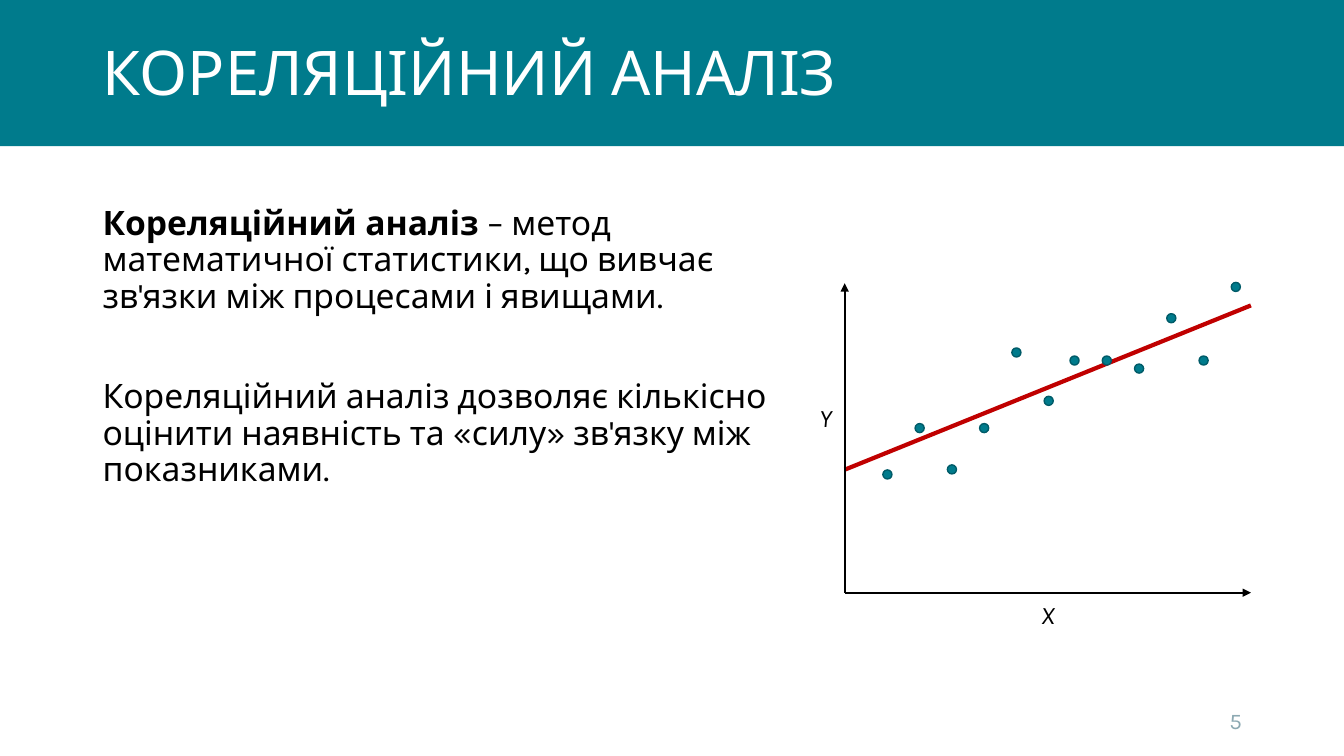
from dataclasses import dataclass

from lxml import etree
from pptx import Presentation
from pptx.dml.color import RGBColor
from pptx.enum.shapes import MSO_CONNECTOR, MSO_SHAPE
from pptx.enum.text import MSO_ANCHOR, MSO_AUTO_SIZE, PP_ALIGN
from pptx.oxml.ns import qn
from pptx.util import Emu, Inches, Pt

STRAIGHT = MSO_CONNECTOR.STRAIGHT
RECTANGLE, OVAL = MSO_SHAPE.RECTANGLE, MSO_SHAPE.OVAL
TOP, MIDDLE = MSO_ANCHOR.TOP, MSO_ANCHOR.MIDDLE
LEFT, CENTER, RIGHT = PP_ALIGN.LEFT, PP_ALIGN.CENTER, PP_ALIGN.RIGHT
NO_AUTOFIT = MSO_AUTO_SIZE.NONE

COLUMNS, ROWS = 40, 22.5
CELL = Inches(13.33) / COLUMNS
FONT = "Karla"
TEAL, DARK_TEAL, RED = "007B8C", "005B68", "C00000"
BLACK, WHITE, GREY = "000000", "FFFFFF", "8CA9B2"

ORIGIN_COLUMN, ORIGIN_ROW = 25.14, 17.64
AXIS_TOP, AXIS_RIGHT = 8.43, 37.23
DOT_SIZE, DOT_STEP = 0.27, 0.96


@dataclass
class Area:
    column: float
    row: float
    columns: float
    rows: float


@dataclass
class Span:
    text: str
    size: float
    color: str = BLACK
    bold: bool = False
    italic: bool = False


@dataclass
class Para:
    spans: list[Span]
    align: PP_ALIGN = LEFT
    line_spacing: float = 1.0
    space_before: float = 0


@dataclass
class Label:
    area: Area
    paras: list[Para]
    anchor: MSO_ANCHOR = TOP


@dataclass
class Segment:
    start: tuple[float, float]
    end: tuple[float, float]
    color: str
    width: float
    arrow: bool = False


@dataclass
class DotRun:
    first_column: float
    rows: list[float]


TITLE = Label(
    Area(2.76, 0.06, 34.5, 4.35),
    [Para([Span("КОРЕЛЯЦІЙНИЙ АНАЛІЗ", 44, WHITE)], line_spacing=0.9)],
    MIDDLE,
)

LABELS = [
    Label(Area(2.76, 6, 21.27, 14.28), [
        Para([
            Span("Кореляційний аналіз ", 24, bold=True),
            Span("– метод математичної статистики, що вивчає "
                 "зв'язки між процесами і явищами.", 24),
        ], line_spacing=0.9, space_before=10),
        Para([
            Span("Кореляційний аналіз дозволяє кількісно оцінити "
                 "наявність та «силу» зв'язку між показниками.", 24),
        ], line_spacing=0.9, space_before=46),
    ]),
    Label(Area(28.26, 20.85, 9, 1.2), [Para([Span("5", 16, GREY)], RIGHT)], MIDDLE),
    Label(Area(24, 11.82, 1.05, 1.2), [Para([Span("Y", 18, italic=True)], RIGHT)]),
    Label(Area(ORIGIN_COLUMN, 17.7, AXIS_RIGHT - ORIGIN_COLUMN, 1.2),
          [Para([Span("X", 18, italic=True)], CENTER)]),
]

SEGMENTS = [
    Segment((ORIGIN_COLUMN, 13.98), (AXIS_RIGHT, 9.09), RED, 3),
    Segment((ORIGIN_COLUMN, ORIGIN_ROW), (ORIGIN_COLUMN, AXIS_TOP), BLACK, 1.5, True),
    Segment((ORIGIN_COLUMN, ORIGIN_ROW), (AXIS_RIGHT, ORIGIN_ROW), BLACK, 1.5, True),
]

DOT_RUNS = [
    DotRun(26.41, [14.12, 12.74, 13.97, 12.74, 10.49, 11.93]),
    DotRun(31.98, [10.73, 10.73, 10.97, 9.47, 10.73, 8.54]),
]


def grid(cells: float) -> Emu:
    return Emu(round(cells * CELL))


def rgb(value: str) -> RGBColor:
    return RGBColor.from_string(value)


def bounds(area: Area) -> list[Emu]:
    return [grid(n) for n in (area.column, area.row, area.columns, area.rows)]


def write_text(box, label: Label) -> None:
    frame = box.text_frame
    frame.word_wrap = True
    frame.auto_size = NO_AUTOFIT
    frame.vertical_anchor = label.anchor
    for index, para in enumerate(label.paras):
        paragraph = frame.add_paragraph() if index else frame.paragraphs[0]
        paragraph.alignment = para.align
        paragraph.line_spacing = para.line_spacing
        paragraph.space_before = Pt(para.space_before)
        for span in para.spans:
            run = paragraph.add_run()
            run.text = span.text
            run.font.name = FONT
            run.font.size = Pt(span.size)
            run.font.bold = span.bold
            run.font.italic = span.italic
            run.font.color.rgb = rgb(span.color)


def add_label(page, label: Label) -> None:
    write_text(page.shapes.add_textbox(*bounds(label.area)), label)


def add_filled(page, kind: MSO_SHAPE, area: Area, outline: str | None = None):
    shape = page.shapes.add_shape(kind, *bounds(area))
    shape.shadow.inherit = False
    shape.fill.solid()
    shape.fill.fore_color.rgb = rgb(TEAL)
    if outline:
        shape.line.color.rgb = rgb(outline)
        shape.line.width = Pt(1)
    else:
        shape.line.fill.background()
    return shape


def add_header(page) -> None:
    title = page.shapes.title
    title.left, title.top, title.width, title.height = bounds(TITLE.area)
    write_text(title, TITLE)
    band = add_filled(page, RECTANGLE, Area(0, 0, COLUMNS, 4.35))
    title.element.addprevious(band.element)


def add_segment(page, segment: Segment) -> None:
    ends = [grid(n) for n in (*segment.start, *segment.end)]
    connector = page.shapes.add_connector(STRAIGHT, *ends)
    connector.line.color.rgb = rgb(segment.color)
    connector.line.width = Pt(segment.width)
    if segment.arrow:
        line = connector.line._get_or_add_ln()
        etree.SubElement(line, qn("a:tailEnd"), type="triangle")
    etree.SubElement(connector.element.spPr, qn("a:effectLst"))


def add_dots(page, dots: DotRun) -> None:
    for index, row in enumerate(dots.rows):
        column = dots.first_column + index * DOT_STEP
        area = Area(column - DOT_SIZE / 2, row - DOT_SIZE / 2, DOT_SIZE, DOT_SIZE)
        add_filled(page, OVAL, area, DARK_TEAL)


def main() -> None:
    deck = Presentation()
    deck.slide_width, deck.slide_height = grid(COLUMNS), grid(ROWS)
    page = deck.slides.add_slide(deck.slide_layouts[5])
    add_header(page)
    for segment in SEGMENTS:
        add_segment(page, segment)
    for dots in DOT_RUNS:
        add_dots(page, dots)
    for label in LABELS:
        add_label(page, label)
    deck.save("out.pptx")


if __name__ == "__main__":
    main()
